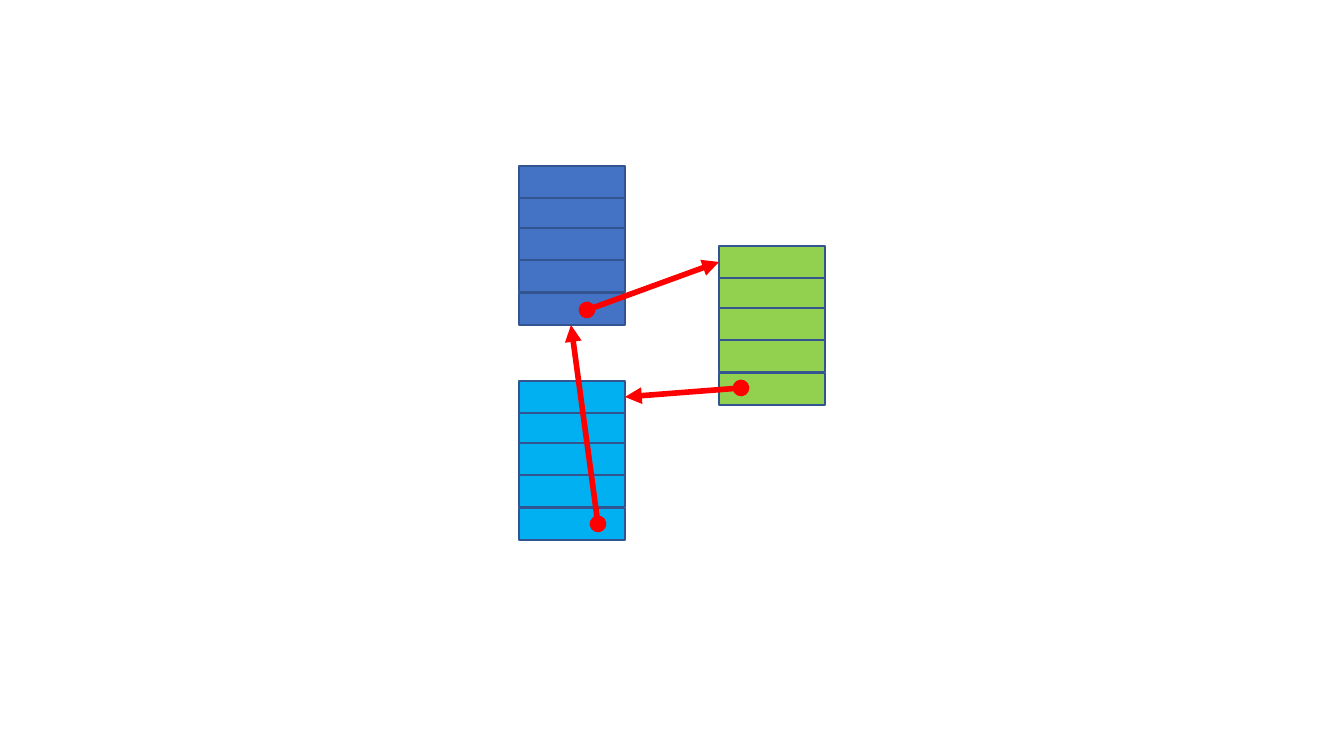
from dataclasses import dataclass

from lxml.etree import SubElement
from pptx import Presentation
from pptx.dml.color import RGBColor
from pptx.enum.shapes import MSO_CONNECTOR as Connector, MSO_SHAPE as Shape
from pptx.oxml.ns import qn
from pptx.util import Pt

EMU_PER_PX = 914400 / 134.4
CELL_WIDTH, CELL_HEIGHT = 106, 32
CELL_OFFSETS = (0, 32, 62, 94, 127)


@dataclass(frozen=True)
class Theme:
    blue: str = "4472C4"
    green: str = "92D050"
    cyan: str = "00B0F0"
    border: str = "325491"
    pointer: str = "FF0000"
    border_width: float = 1
    pointer_width: float = 3


THEME = Theme()


def px(length):
    return round(length * EMU_PER_PX)


def style_line(line, color, width):
    line.color.rgb = RGBColor.from_string(color)
    line.width = Pt(width)


def add_cell(block, left, top, color):
    cell = block.shapes.add_shape(
        Shape.RECTANGLE, px(left), px(top), px(CELL_WIDTH), px(CELL_HEIGHT)
    )
    cell.shadow.inherit = False
    cell.fill.solid()
    cell.fill.fore_color.rgb = RGBColor.from_string(color)
    style_line(cell.line, THEME.border, THEME.border_width)


def add_block(page, left, top, color):
    block = page.shapes.add_group_shape()
    for offset in CELL_OFFSETS:
        add_cell(block, left, top + offset, color)


def add_pointer(page, start, end):
    pointer = page.shapes.add_connector(
        Connector.STRAIGHT, *(px(length) for length in (*start, *end))
    )
    style_line(pointer.line, THEME.pointer, THEME.pointer_width)
    properties = pointer._element.spPr
    outline = properties.find(qn("a:ln"))
    SubElement(outline, qn("a:headEnd"), type="oval")
    SubElement(outline, qn("a:tailEnd"), type="triangle")
    SubElement(properties, qn("a:effectLst"))


def main():
    deck = Presentation()
    deck.slide_width, deck.slide_height = px(1344), px(756)
    page = deck.slides.add_slide(deck.slide_layouts[6])

    add_block(page, 519, 166, THEME.blue)
    add_block(page, 719, 246, THEME.green)
    add_block(page, 519, 381, THEME.cyan)

    add_pointer(page, (587, 310), (719, 262))
    add_pointer(page, (598, 524), (571, 325))
    add_pointer(page, (741, 388), (625, 397))

    deck.save("out.pptx")


if __name__ == "__main__":
    main()
